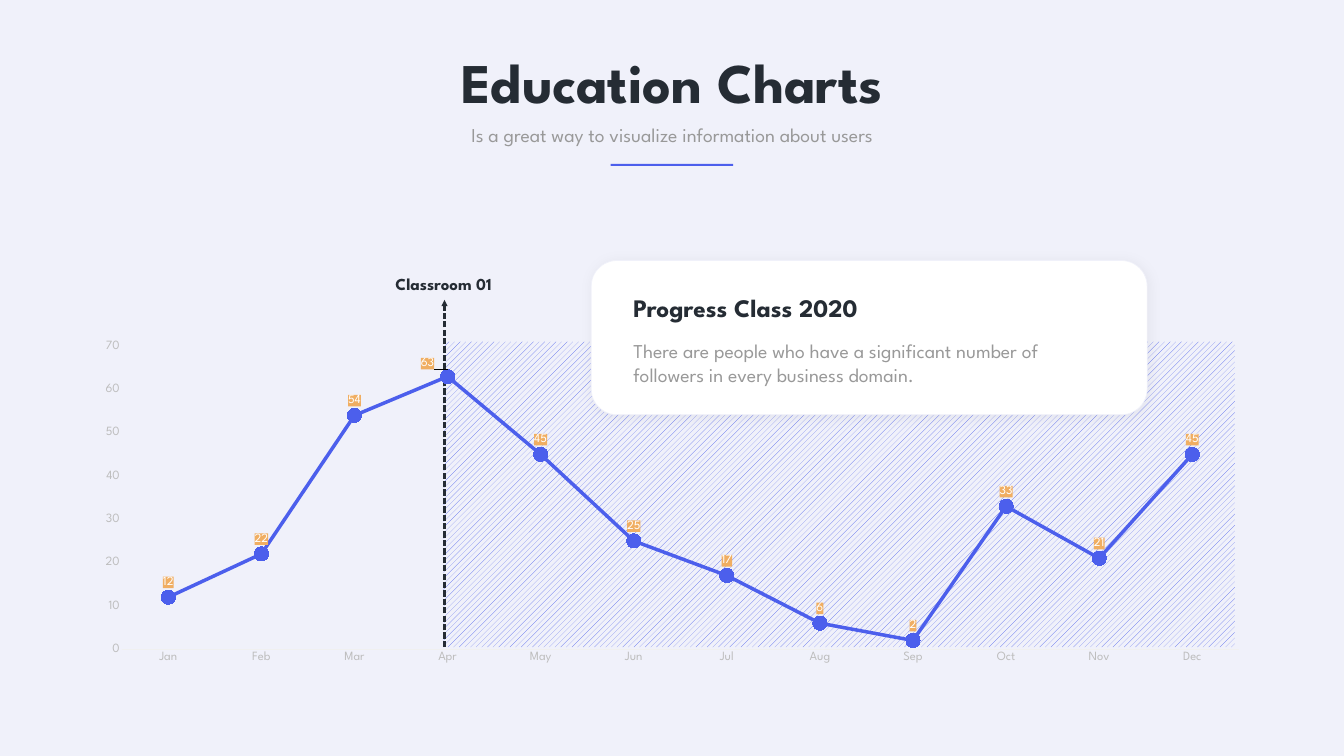
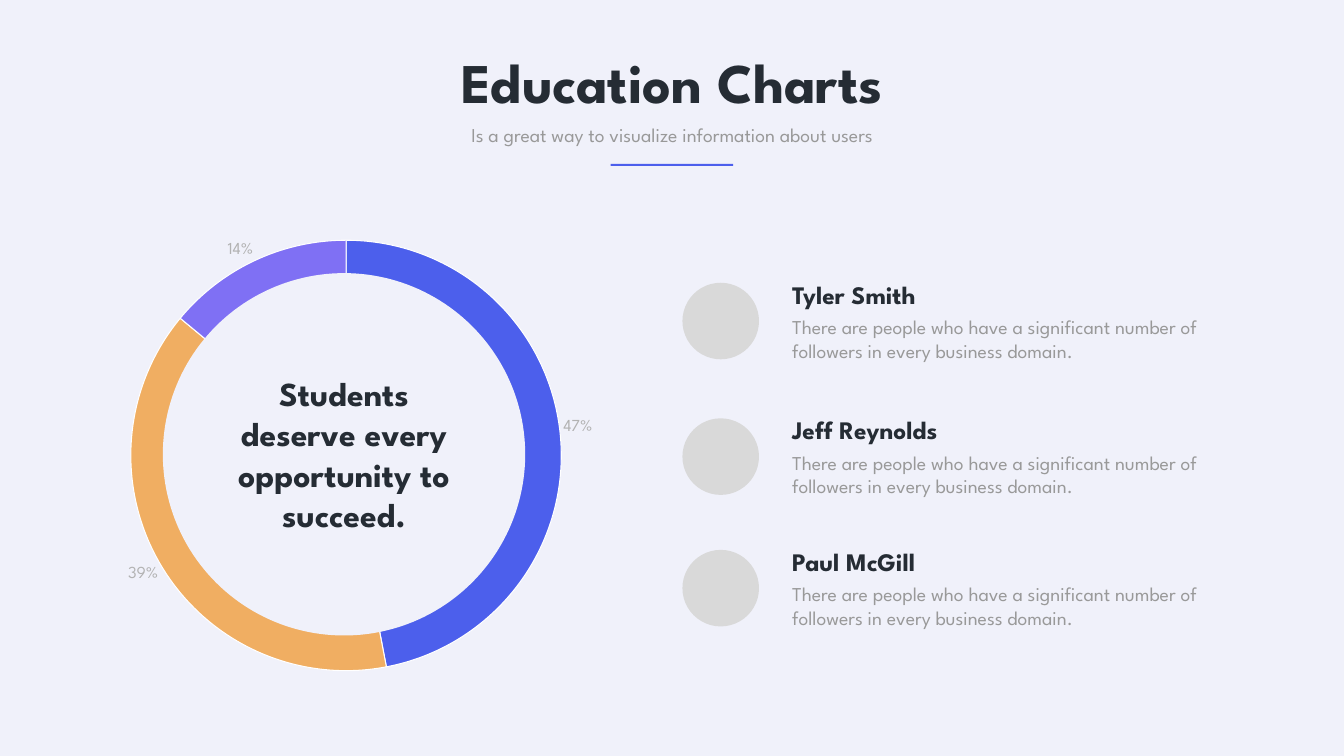
from dataclasses import dataclass

from pptx import Presentation
from pptx.chart.data import CategoryChartData
from pptx.dml.color import RGBColor
from pptx.enum.chart import (
    XL_CHART_TYPE as ChartType,
    XL_LABEL_POSITION as LabelPos,
    XL_MARKER_STYLE as Marker,
    XL_TICK_MARK as Tick,
)
from pptx.enum.dml import MSO_LINE as Dash, MSO_PATTERN as Pattern
from pptx.enum.shapes import MSO_CONNECTOR as Connector, MSO_SHAPE as Shape
from pptx.enum.text import MSO_ANCHOR as Anchor, MSO_AUTO_SIZE as AutoSize, PP_ALIGN as Align
from pptx.oxml import parse_xml
from pptx.oxml.ns import nsdecls, qn
from pptx.util import Pt


@dataclass(frozen=True)
class Theme:
    font: str = "League Spartan"
    chart_font: str = "Calibri"
    page: str = "F0F1FA"
    ink: str = "252C34"
    muted: str = "999999"
    blue: str = "4C5FEC"
    orange: str = "F0AE62"
    violet: str = "7F70F4"
    white: str = "FFFFFF"
    avatar: str = "D9D9D9"
    axis_text: str = "BDBDBD"
    axis_line: str = "F0F0F0"
    percent_text: str = "B2B2B2"
    title_size: int = 80
    quote_size: int = 48
    heading_size: int = 36
    body_size: int = 28
    label_size: int = 24
    axis_size: int = 18
    chart_size: int = 10


BLURB = "There are people who have a significant number of followers in every business domain."


def rgb(value):
    return RGBColor.from_string(value)


class Deck:
    """Holds the theme and the slide being filled."""

    def __init__(self, theme):
        self.theme = theme
        self.prs = Presentation()
        self.prs.slide_width, self.prs.slide_height = Pt(1920), Pt(1080)
        background = self.prs.slide_master.background.fill
        background.solid()
        background.fore_color.rgb = rgb(theme.page)
        self.slide = None

    def new_slide(self, title, subtitle):
        t = self.theme
        self.slide = self.prs.slides.add_slide(self.prs.slide_layouts[5])
        heading = self.slide.shapes.title
        heading.left, heading.top, heading.width, heading.height = map(Pt, (495.4, 64.8, 929.5, 104.4))
        self.fill_text(heading, title, t.title_size, t.ink, True, Align.CENTER)
        self.text((615.6, 171.4, 688.8, 41), subtitle, t.body_size, t.muted, align=Align.CENTER)
        self.shape(Shape.RECTANGLE, (872.5, 234, 175, 2.9), t.blue)

    def style_font(self, font, size, color, bold=False, name=None):
        font.name = name or self.theme.font
        font.size = Pt(size)
        font.bold = bold
        font.color.rgb = rgb(color)

    def fill_text(self, holder, words, size, color, bold, align):
        frame = holder.text_frame
        frame.text = words
        frame.word_wrap = True
        frame.auto_size = AutoSize.SHAPE_TO_FIT_TEXT
        frame.vertical_anchor = Anchor.TOP
        paragraph = frame.paragraphs[0]
        paragraph.alignment = align
        for run in paragraph.runs:
            self.style_font(run.font, size, color, bold)
        return frame

    def text(self, box, words, size, color, bold=False, align=Align.LEFT):
        holder = self.slide.shapes.add_textbox(*map(Pt, box))
        return self.fill_text(holder, words, size, color, bold, align)

    def heading_and_blurb(self, left, top, heading, heading_width, blurb_width, blurb_drop):
        t = self.theme
        self.text((left, top + blurb_drop, blurb_width, 74.9), BLURB, t.body_size, t.muted)
        self.text((left, top, heading_width, 51.1), heading, t.heading_size, t.ink, True)

    def shape(self, kind, box, color):
        item = self.slide.shapes.add_shape(kind, *map(Pt, box))
        item.shadow.inherit = False
        item.fill.solid()
        item.fill.fore_color.rgb = rgb(color)
        item.line.fill.background()
        return item

    def hatched(self, box):
        area = self.shape(Shape.RECTANGLE, box, self.theme.page)
        area.fill.patterned()
        area.fill.pattern = Pattern.PERCENT_10
        area.fill.fore_color.rgb = rgb(self.theme.blue)
        area.fill.back_color.rgb = rgb(self.theme.page)

    def card(self, box):
        panel = self.shape(Shape.ROUNDED_RECTANGLE, box, self.theme.white)
        panel.line.color.rgb = rgb(self.theme.page)
        panel.line.width = Pt(1)
        # Soft shadow, 5 % black
        panel._element.spPr.find(qn("a:effectLst")).append(parse_xml(
            f'<a:outerShdw {nsdecls("a")} blurRad="{Pt(20)}" dist="{Pt(3)}" dir="2700000" algn="tl" '
            'rotWithShape="0"><a:srgbClr val="000000"><a:alpha val="5000"/></a:srgbClr></a:outerShdw>'))

    def dashed_arrow(self, start, end):
        arrow = self.slide.shapes.add_connector(Connector.STRAIGHT, *map(Pt, start + end))
        arrow.line.color.rgb = rgb(self.theme.ink)
        arrow.line.width = Pt(3)
        arrow.line.dash_style = Dash.SQUARE_DOT
        arrow.line._get_or_add_ln().append(parse_xml(f'<a:tailEnd {nsdecls("a")} type="triangle"/>'))
        arrow._element.spPr.append(parse_xml(f'<a:effectLst {nsdecls("a")}/>'))

    def chart(self, kind, box, categories, values, plot_box, font, size):
        data = CategoryChartData()
        data.categories = categories
        data.add_series("Series 1", values)
        chart = self.slide.shapes.add_chart(kind, *map(Pt, box), data).chart
        chart.has_legend = chart.has_title = False
        self.style_font(chart.font, size, self.theme.muted, name=font)
        # Fixed inner plot area, as fractions of the chart
        plot_area = chart._chartSpace.chart.plotArea
        for old in plot_area.findall(qn("c:layout")):
            plot_area.remove(old)
        sides = "".join(f'<c:{key} val="{part}"/>' for key, part in zip("xywh", plot_box))
        plot_area.insert(0, parse_xml(
            f'<c:layout {nsdecls("c")}><c:manualLayout><c:layoutTarget val="inner"/>'
            f'<c:xMode val="edge"/><c:yMode val="edge"/>{sides}</c:manualLayout></c:layout>'))
        return chart

    def line_chart(self, box, categories, values, moved_point, shift):
        t = self.theme
        chart = self.chart(ChartType.LINE_MARKERS, box, categories, values,
                           (0.034, 0.033, 0.946, 0.904), t.font, t.axis_size)
        chart.plots[0].vary_by_categories = False

        # Axes
        months, scores = chart.category_axis, chart.value_axis
        for axis in (months, scores):
            axis.has_major_gridlines = False
            axis.major_tick_mark = axis.minor_tick_mark = Tick.NONE
            self.style_font(axis.tick_labels.font, t.axis_size, t.axis_text)
        months.format.line.color.rgb = rgb(t.axis_line)
        months.format.line.width = Pt(0.75)
        scores.format.line.fill.background()
        scores.minimum_scale, scores.maximum_scale, scores.major_unit = 0, 70, 10

        # Line and markers
        progress = chart.plots[0].series[0]
        progress.smooth = False
        progress.format.line.color.rgb = rgb(t.blue)
        progress.format.line.width = Pt(5)
        progress.marker.style = Marker.CIRCLE
        progress.marker.size = 20
        progress.marker.format.fill.solid()
        progress.marker.format.fill.fore_color.rgb = rgb(t.blue)
        progress.marker.format.line.color.rgb = rgb(t.blue)

        # Labels on orange, one of them moved aside
        progress.data_labels.show_value = True
        for labels in (progress.data_labels, progress.points[moved_point].data_label):
            labels.position = LabelPos.ABOVE
            self.style_font(labels.font, t.axis_size, t.white)
        for label in progress._element.iter(qn("c:dLbls"), qn("c:dLbl")):
            label.find(qn("c:txPr")).addprevious(parse_xml(
                f'<c:spPr {nsdecls("c", "a")}><a:solidFill><a:srgbClr val="{t.orange}"/></a:solidFill></c:spPr>'))
            if label.tag == qn("c:dLbl"):
                label.insert(1, parse_xml(
                    f'<c:layout {nsdecls("c")}><c:manualLayout><c:x val="{shift[0]}"/>'
                    f'<c:y val="{shift[1]}"/></c:manualLayout></c:layout>'))

    def pie_chart(self, box, categories, values, colors):
        t = self.theme
        chart = self.chart(ChartType.PIE, box, categories, values,
                           (0.063, 0.109, 0.448, 0.785), t.chart_font, t.chart_size)
        shares = chart.plots[0].series[0]
        for index, color in enumerate(colors):
            sector = shares.points[index].format
            sector.fill.solid()
            sector.fill.fore_color.rgb = rgb(color)
            sector.line.color.rgb = rgb(t.white)
            sector.line.width = Pt(1.5)
        labels = shares.data_labels
        labels.show_value, labels.show_percentage = False, True
        labels.number_format, labels.number_format_is_linked = "#,##0%", False
        labels.position = LabelPos.OUTSIDE_END
        self.style_font(labels.font, t.label_size, t.percent_text)


def progress_slide(deck):
    t = deck.theme
    # Highlighted period and its marker
    deck.hatched((633.6, 488.2, 1130.4, 436.3))
    classroom = deck.text((517.7, 394.6, 231.8, 28.8), "Classroom 01", t.label_size, t.ink, True, Align.CENTER)
    classroom.vertical_anchor = Anchor.MIDDLE
    classroom.margin_left = classroom.margin_right = classroom.margin_top = classroom.margin_bottom = Pt(4.3)
    classroom.paragraphs[0].line_spacing = 0.7
    deck.dashed_arrow((635, 924.5), (635, 428.4))

    months = "Jan Feb Mar Apr May Jun Jul Aug Sep Oct Nov Dec".split()
    scores = (12, 22, 54, 63, 45, 25, 17, 6, 2, 33, 21, 45)
    deck.line_chart((116.6, 478.8, 1687, 478.8), months, scores, months.index("Apr"), (-0.017, 0.006))

    # Summary card
    deck.card((844.6, 372.2, 794.2, 220.3))
    deck.heading_and_blurb(897.8, 414, "Progress Class 2020", 453.6, 689, 67)


def students_slide(deck):
    t = deck.theme
    # Ring
    deck.pie_chart((100.1, 257.8, 1373.8, 783.4), ("1", "2", "3"), (47, 39, 14), (t.blue, t.orange, t.violet))
    deck.shape(Shape.OVAL, (232.6, 390.2, 517.7, 517.7), t.page)
    deck.text((314.6, 529.2, 353.5, 239.8), "Students deserve every opportunity to succeed.",
              t.quote_size, t.ink, True, Align.CENTER)

    # Students
    for student, top in (("Tyler Smith", 403.9), ("Jeff Reynolds", 597.6), ("Paul McGill", 785.5)):
        deck.shape(Shape.OVAL, (974.9, top, 109.4, 109.4), t.avatar)
        deck.heading_and_blurb(1124.6, top - 8.6, student, 558, 694.8, 51.1)


def main():
    deck = Deck(Theme())
    for build in (progress_slide, students_slide):
        deck.new_slide("Education Charts", "Is a great way to visualize information about users")
        build(deck)
    deck.prs.save("out.pptx")


if __name__ == "__main__":
    main()
